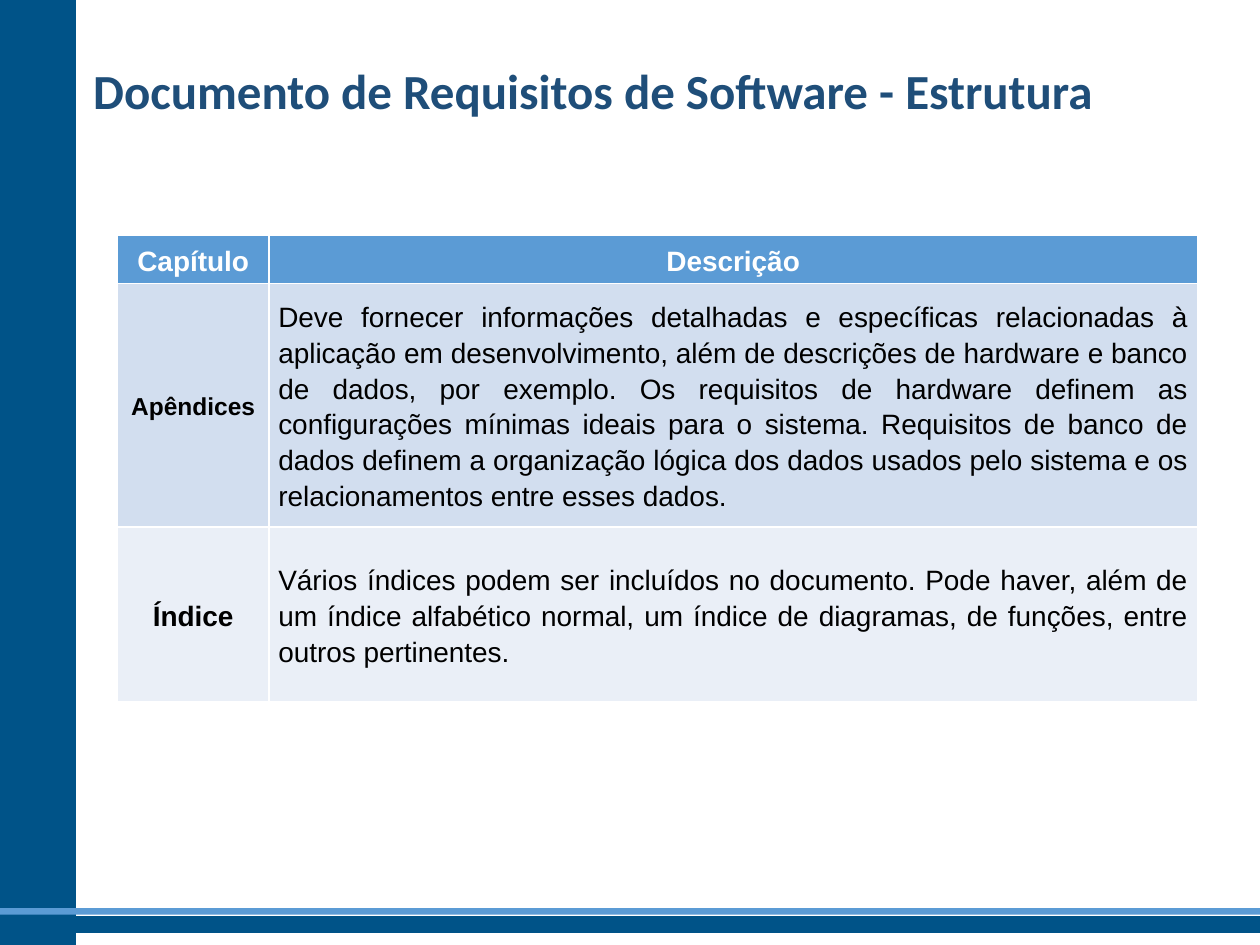
from dataclasses import dataclass

from lxml.etree import SubElement
from pptx import Presentation
from pptx.dml.color import RGBColor as RGB
from pptx.enum.shapes import MSO_SHAPE as Shape
from pptx.enum.text import MSO_ANCHOR as Anchor, PP_ALIGN as Align
from pptx.oxml.ns import qn
from pptx.util import Cm, Pt


@dataclass(frozen=True)
class Theme:
    navy: str = "005388"
    blue: str = "5B9BD5"
    title: str = "1F4E79"
    white: str = "FFFFFF"
    black: str = "000000"
    bands: tuple = ("D2DEEF", "EAEFF7")
    title_font: str = "Calibri"
    body_font: str = "Arial"
    title_size: int = 28
    body_size: int = 16
    small_size: int = 14


THEME = Theme()
WIDTH, HEIGHT = 25.4, 19.05
COLUMNS = (3.05, 18.72)
ROWS = (0.96, 4.91, 3.53)
HEADER = ("Capítulo", "Descrição")
CHAPTERS = (
    ("Apêndices", THEME.small_size,
     "Deve fornecer informações detalhadas e específicas relacionadas à aplicação em "
     "desenvolvimento, além de descrições de hardware e banco de dados, por exemplo. "
     "Os requisitos de hardware definem as configurações mínimas ideais para o sistema. "
     "Requisitos de banco de dados definem a organização lógica dos dados usados pelo "
     "sistema e os relacionamentos entre esses dados."),
    ("Índice", THEME.body_size,
     "Vários índices podem ser incluídos no documento. Pode haver, além de um índice "
     "alfabético normal, um índice de diagramas, de funções, entre outros pertinentes."),
)


def style_text(tf, font, size, color, bold):
    for p in tf.paragraphs:
        for r in p.runs:
            r.font.name = font
            r.font.size = Pt(size)
            r.font.bold = bold
            r.font.color.rgb = RGB.from_string(color)


def add_bar(slide, left, top, width, height, color, outlined=True):
    sp = slide.shapes.add_shape(Shape.RECTANGLE, Cm(left), Cm(top), Cm(width), Cm(height))
    sp.shadow.inherit = False
    sp.fill.solid()
    sp.fill.fore_color.rgb = RGB.from_string(color)
    if outlined:
        sp.line.color.rgb = RGB.from_string(color)
        sp.line.width = Pt(1)
    else:
        sp.line.fill.background()


def add_title(slide, text):
    box = slide.shapes.add_textbox(Cm(1.63), Cm(0.66), Cm(23.06), Cm(2.29))
    tf = box.text_frame
    tf.word_wrap = True
    tf.vertical_anchor = Anchor.MIDDLE
    tf.text = text
    style_text(tf, THEME.title_font, THEME.title_size, THEME.title, True)


def set_borders(cell, color, width):
    """Draw the four cell borders; they must come before the fill in tcPr."""
    props = cell._tc.get_or_add_tcPr()
    for side in ("a:lnL", "a:lnR", "a:lnT", "a:lnB"):
        line = SubElement(props, qn(side), w=str(Pt(width)))
        fill = SubElement(line, qn("a:solidFill"))
        SubElement(fill, qn("a:srgbClr"), val=color)


def fill_cell(cell, text, fill, size=THEME.body_size, color=THEME.black,
              bold=True, align=Align.CENTER):
    set_borders(cell, THEME.white, 1)
    cell.fill.solid()
    cell.fill.fore_color.rgb = RGB.from_string(fill)
    cell.vertical_anchor = Anchor.MIDDLE
    cell.margin_left = cell.margin_right = Cm(0.19)
    cell.margin_top = cell.margin_bottom = 0
    tf = cell.text_frame
    tf.text = text
    p = tf.paragraphs[0]
    p.alignment = align
    p.line_spacing = 1.15
    style_text(tf, THEME.body_font, size, color, bold)


def add_chapter_table(slide):
    frame = slide.shapes.add_table(len(ROWS), len(COLUMNS), Cm(2.37), Cm(4.75),
                                   Cm(sum(COLUMNS)), Cm(sum(ROWS)))
    table = frame.table
    for column, width in zip(table.columns, COLUMNS):
        column.width = Cm(width)
    for row, height in zip(table.rows, ROWS):
        row.height = Cm(height)
    for i, text in enumerate(HEADER):
        fill_cell(table.cell(0, i), text, THEME.blue, color=THEME.white)
    for i, ((name, size, description), band) in enumerate(zip(CHAPTERS, THEME.bands), 1):
        fill_cell(table.cell(i, 0), name, band, size=size)
        fill_cell(table.cell(i, 1), description, band, bold=False, align=Align.JUSTIFY)


def main():
    prs = Presentation()
    prs.slide_width, prs.slide_height = Cm(WIDTH), Cm(HEIGHT)
    slide = prs.slides.add_slide(prs.slide_layouts[6])
    add_bar(slide, 0, 0, 1.52, HEIGHT, THEME.navy)
    add_bar(slide, 0, 18.49, WIDTH, 0.3, THEME.navy)
    add_bar(slide, 0, 18.31, WIDTH, 0.13, THEME.blue, outlined=False)
    add_title(slide, "Documento de Requisitos de Software - Estrutura")
    add_chapter_table(slide)
    prs.save("out.pptx")


if __name__ == "__main__":
    main()
